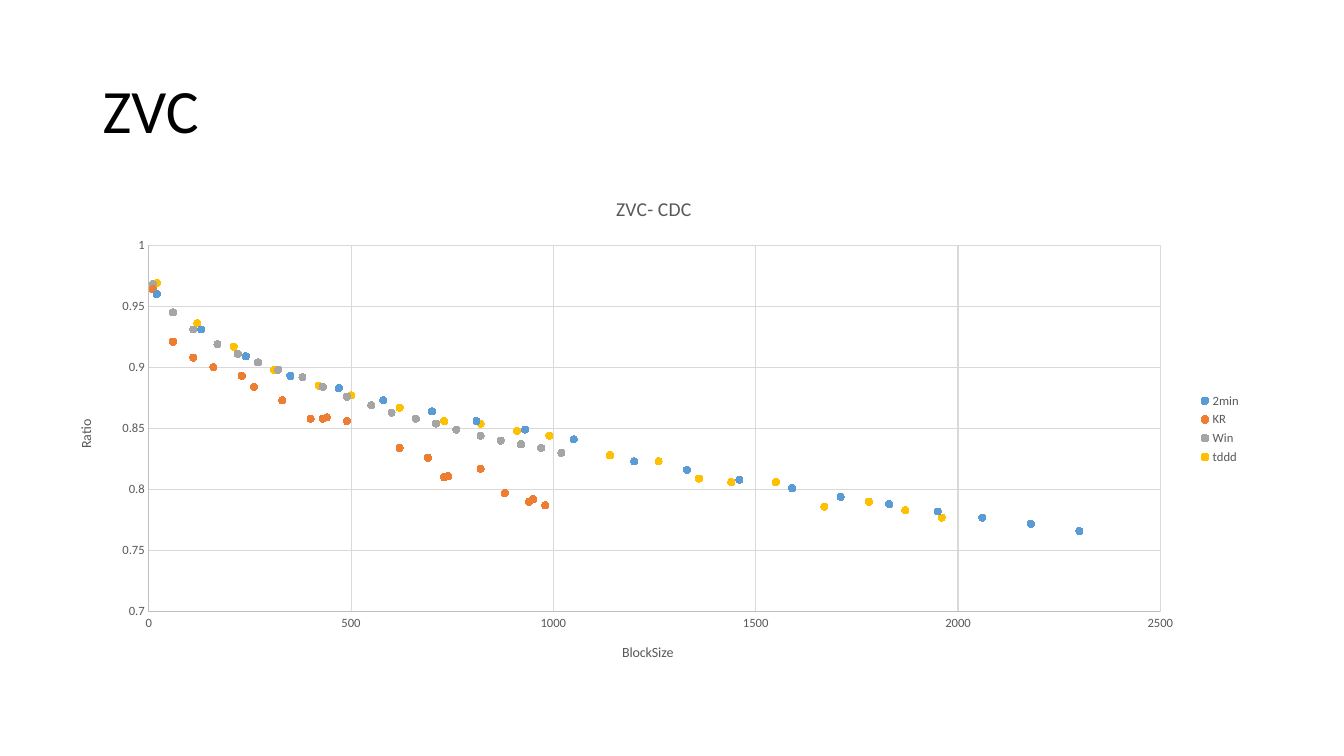
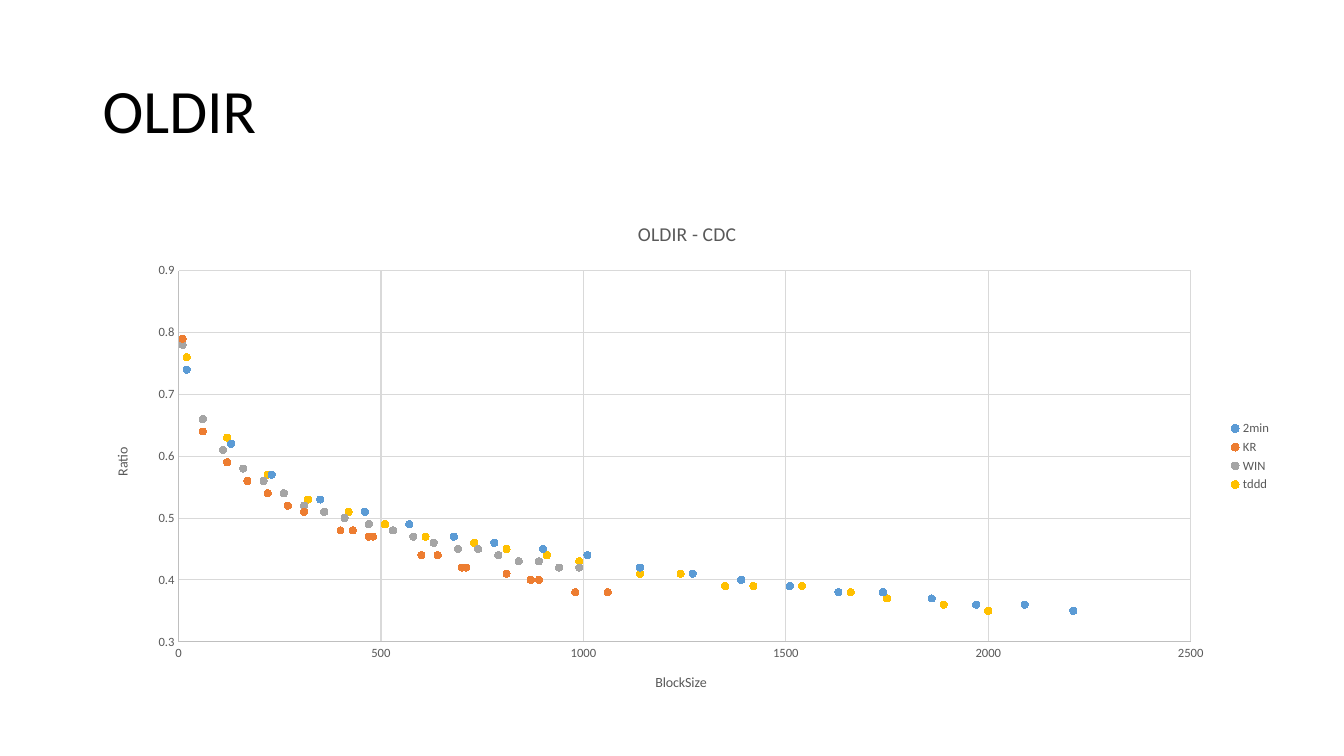
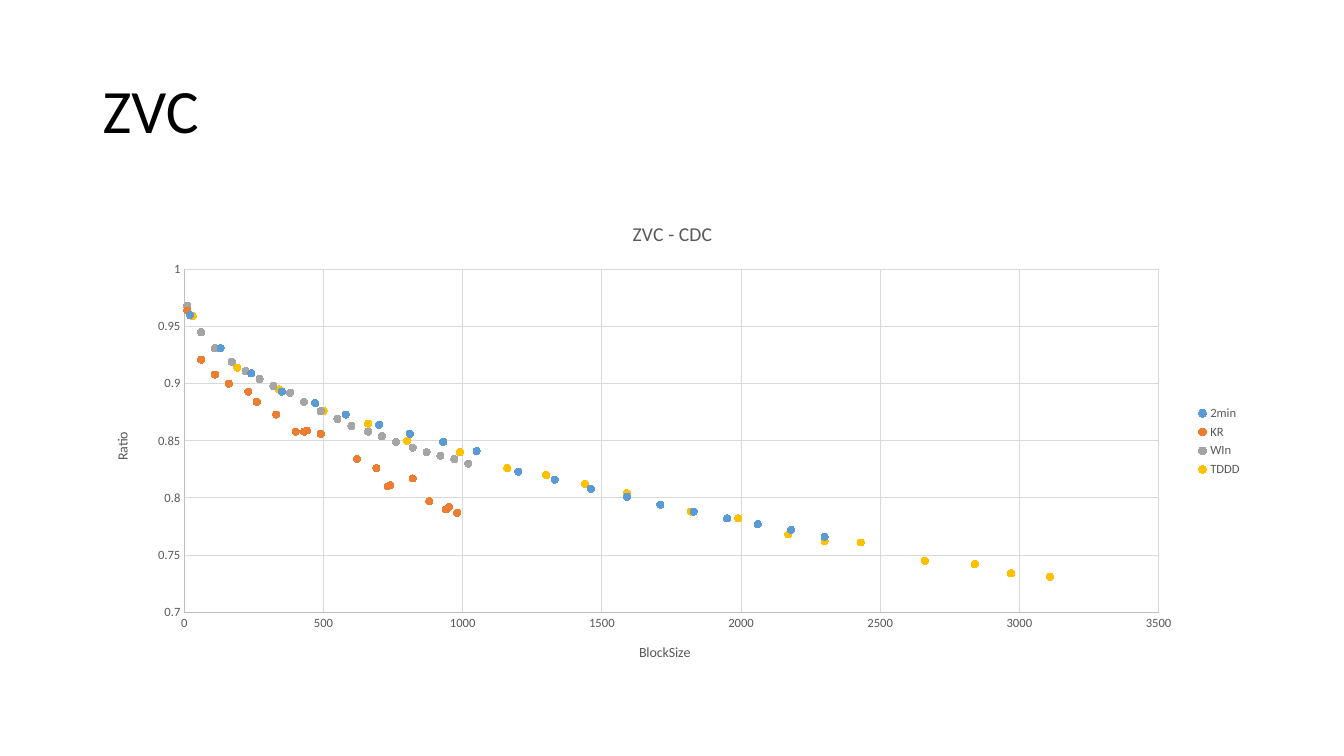
from pptx import Presentation
from pptx.chart.data import XyChartData
from pptx.dml.color import RGBColor
from pptx.enum.chart import XL_CHART_TYPE, XL_LEGEND_POSITION, XL_MARKER_STYLE, XL_TICK_MARK
from pptx.enum.text import MSO_ANCHOR
from pptx.oxml.ns import qn
from pptx.util import Inches, Pt

FONT = "Calibri"
BLACK, GREY, AXIS_GREY, GRID_GREY = "000000", "595959", "BFBFBF", "D9D9D9"
SERIES_COLORS = ["5B9BD5", "ED7D31", "A5A5A5", "FFC000"]

# Each series is a pair: block sizes, ratios
ZVC_2MIN = (
    [20, 130, 240, 350, 470, 580, 700, 810, 930, 1050,
     1200, 1330, 1460, 1590, 1710, 1830, 1950, 2060, 2180, 2300],
    [0.96, 0.931, 0.909, 0.893, 0.883, 0.873, 0.864, 0.856, 0.849, 0.841,
     0.823, 0.816, 0.808, 0.801, 0.794, 0.788, 0.782, 0.777, 0.772, 0.766])
ZVC_KR = (
    [10, 60, 110, 160, 230, 260, 330, 400, 440, 430,
     490, 620, 690, 730, 740, 820, 880, 950, 940, 980],
    [0.964, 0.921, 0.908, 0.9, 0.893, 0.884, 0.873, 0.858, 0.859, 0.858,
     0.856, 0.834, 0.826, 0.81, 0.811, 0.817, 0.797, 0.792, 0.79, 0.787])
ZVC_WIN = (
    [10, 60, 110, 170, 220, 270, 320, 380, 430, 490,
     550, 600, 660, 710, 760, 820, 870, 920, 970, 1020],
    [0.968, 0.945, 0.931, 0.919, 0.911, 0.904, 0.898, 0.892, 0.884, 0.876,
     0.869, 0.863, 0.858, 0.854, 0.849, 0.844, 0.84, 0.837, 0.834, 0.83])
ZVC_TDDD_SHORT = (
    [20, 120, 210, 310, 420, 500, 620, 730, 820, 910,
     990, 1140, 1260, 1360, 1440, 1550, 1670, 1780, 1870, 1960],
    [0.969, 0.936, 0.917, 0.898, 0.885, 0.877, 0.867, 0.856, 0.854, 0.848,
     0.844, 0.828, 0.823, 0.809, 0.806, 0.806, 0.786, 0.79, 0.783, 0.777])
ZVC_TDDD_LONG = (
    [30, 190, 340, 500, 660, 800, 990, 1160, 1300, 1440,
     1590, 1820, 1990, 2170, 2300, 2430, 2660, 2840, 2970, 3110],
    [0.959, 0.914, 0.895, 0.876, 0.865, 0.85, 0.84, 0.826, 0.82, 0.812,
     0.804, 0.788, 0.782, 0.768, 0.762, 0.761, 0.745, 0.742, 0.734, 0.731])
OLDIR_2MIN = (
    [20, 130, 230, 350, 460, 570, 680, 780, 900, 1010,
     1140, 1270, 1390, 1510, 1630, 1740, 1860, 1970, 2090, 2210],
    [0.74, 0.62, 0.57, 0.53, 0.51, 0.49, 0.47, 0.46, 0.45, 0.44,
     0.42, 0.41, 0.4, 0.39, 0.38, 0.38, 0.37, 0.36, 0.36, 0.35])
OLDIR_KR = (
    [10, 60, 120, 170, 220, 270, 310, 400, 430, 470,
     480, 600, 640, 710, 700, 810, 870, 890, 980, 1060],
    [0.79, 0.64, 0.59, 0.56, 0.54, 0.52, 0.51, 0.48, 0.48, 0.47,
     0.47, 0.44, 0.44, 0.42, 0.42, 0.41, 0.4, 0.4, 0.38, 0.38])
OLDIR_WIN = (
    [10, 60, 110, 160, 210, 260, 310, 360, 410, 470,
     530, 580, 630, 690, 740, 790, 840, 890, 940, 990],
    [0.78, 0.66, 0.61, 0.58, 0.56, 0.54, 0.52, 0.51, 0.5, 0.49,
     0.48, 0.47, 0.46, 0.45, 0.45, 0.44, 0.43, 0.43, 0.42, 0.42])
OLDIR_TDDD = (
    [20, 120, 220, 320, 420, 510, 610, 730, 810, 910,
     990, 1140, 1240, 1350, 1420, 1540, 1660, 1750, 1890, 2000],
    [0.76, 0.63, 0.57, 0.53, 0.51, 0.49, 0.47, 0.46, 0.45, 0.44,
     0.43, 0.41, 0.41, 0.39, 0.39, 0.39, 0.38, 0.37, 0.36, 0.35])

# Axis ranges are (minimum, maximum, step)
SLIDES = [
    dict(title="ZVC", chart_title="ZVC- CDC", place=(0.56, 1.75, 11.85, 5.01),
         sizes=(0, 2500, 500), ratios=(0.7, 1, 0.05),
         series={"2min": ZVC_2MIN, "KR": ZVC_KR, "Win": ZVC_WIN, "tddd": ZVC_TDDD_SHORT}),
    dict(title="OLDIR", chart_title="OLDIR - CDC", place=(0.92, 2, 11.79, 5.06),
         sizes=(0, 2500, 500), ratios=(0.3, 0.9, 0.1),
         series={"2min": OLDIR_2MIN, "KR": OLDIR_KR, "WIN": OLDIR_WIN, "tddd": OLDIR_TDDD}),
    dict(title="ZVC", chart_title="ZVC - CDC", place=(0.92, 2, 11.5, 4.76),
         sizes=(0, 3500, 500), ratios=(0.7, 1, 0.05),
         series={"2min": ZVC_2MIN, "KR": ZVC_KR, "WIn": ZVC_WIN, "TDDD": ZVC_TDDD_LONG}),
]


def color(value):
    return RGBColor.from_string(value)


def style_font(font, size, hex_color):
    font.name, font.size, font.bold = FONT, Pt(size), False
    font.color.rgb = color(hex_color)


def style_line(line, hex_color):
    line.color.rgb = color(hex_color)
    line.width = Pt(0.75)


def write(frame, text, size, hex_color):
    """Fill the first paragraph of a text frame and return it."""
    para = frame.paragraphs[0]
    span = para.add_run()
    span.text = text
    style_font(span.font, size, hex_color)
    return para


def add_title(page, text):
    box = page.shapes.add_textbox(Inches(0.92), Inches(0.4), Inches(11.5), Inches(1.45))
    frame = box.text_frame
    frame.word_wrap = True
    frame.vertical_anchor = MSO_ANCHOR.MIDDLE
    write(frame, text, 44, BLACK).line_spacing = 0.9


def style_axis(axis, title, limits, rotation=0):
    axis.minimum_scale, axis.maximum_scale, axis.major_unit = limits
    axis.major_tick_mark = axis.minor_tick_mark = XL_TICK_MARK.NONE
    axis.has_major_gridlines = True
    style_line(axis.major_gridlines.format.line, GRID_GREY)
    style_line(axis.format.line, AXIS_GREY)
    style_font(axis.tick_labels.font, 9, GREY)
    write(axis.axis_title.text_frame, title, 10, GREY)
    body = next(axis.axis_title._element.iter(qn("a:bodyPr")))
    body.set("rot", str(rotation * 60000))


def add_scatter(page, chart_title, place, sizes, ratios, series):
    data = XyChartData()
    for name, (block_sizes, values) in series.items():
        points = data.add_series(name)
        for block_size, ratio in zip(block_sizes, values):
            points.add_data_point(block_size, ratio)
    chart = page.shapes.add_chart(
        XL_CHART_TYPE.XY_SCATTER, *map(Inches, place), data).chart
    style_font(chart.font, 10, BLACK)
    write(chart.chart_title.text_frame, chart_title, 14, GREY)
    style_axis(chart.category_axis, "BlockSize", sizes)
    style_axis(chart.value_axis, "Ratio", ratios, rotation=-90)

    chart.has_legend = True
    chart.legend.position = XL_LEGEND_POSITION.RIGHT
    chart.legend.include_in_layout = False
    style_font(chart.legend.font, 9, GREY)

    plot = chart.plots[0]
    plot.vary_by_categories = False
    for points, hex_color in zip(plot.series, SERIES_COLORS):
        points.smooth = False
        points.format.line.fill.background()
        marker = points.marker
        marker.style, marker.size = XL_MARKER_STYLE.CIRCLE, 5
        marker.format.fill.solid()
        marker.format.fill.fore_color.rgb = color(hex_color)
        style_line(marker.format.line, hex_color)


def main():
    deck = Presentation()
    deck.slide_width, deck.slide_height = Inches(13.33), Inches(7.5)
    for content in SLIDES:
        page = deck.slides.add_slide(deck.slide_layouts[6])
        chart = dict(content)
        add_title(page, chart.pop("title"))
        add_scatter(page, **chart)
    deck.save("out.pptx")


if __name__ == "__main__":
    main()
